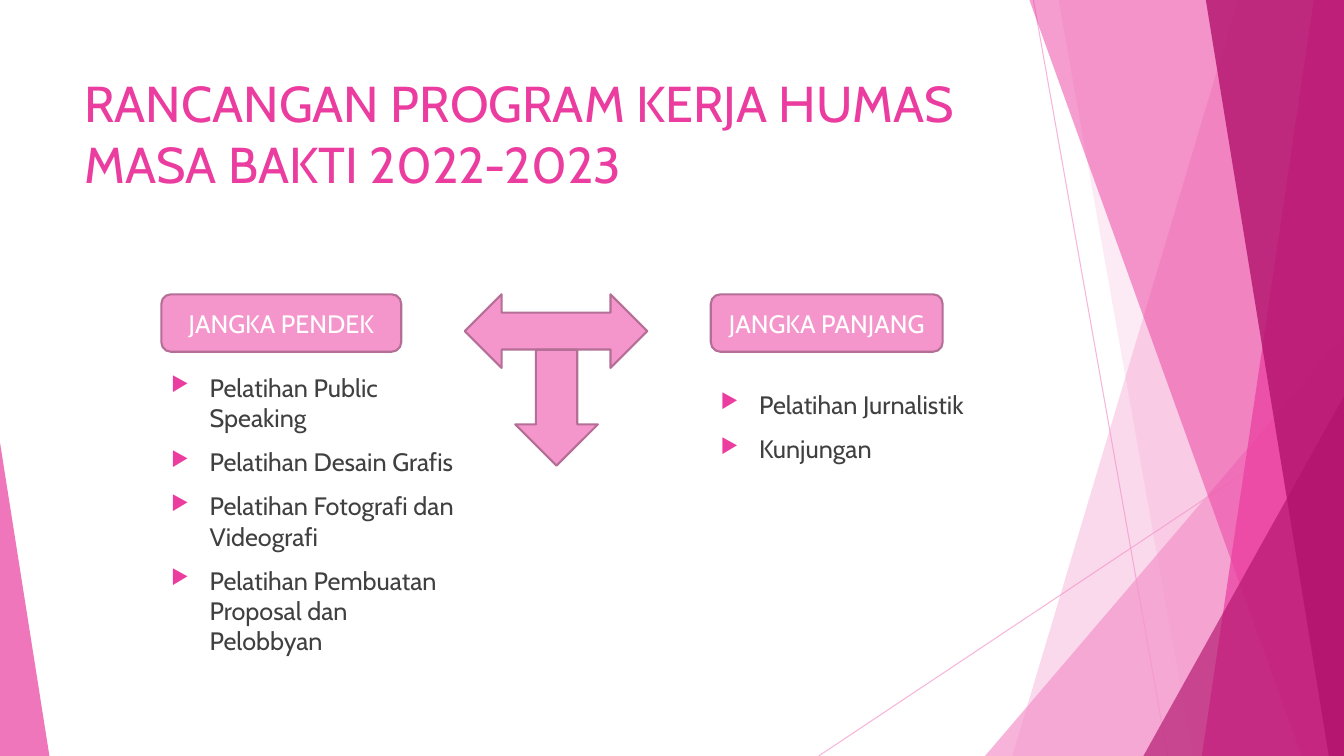
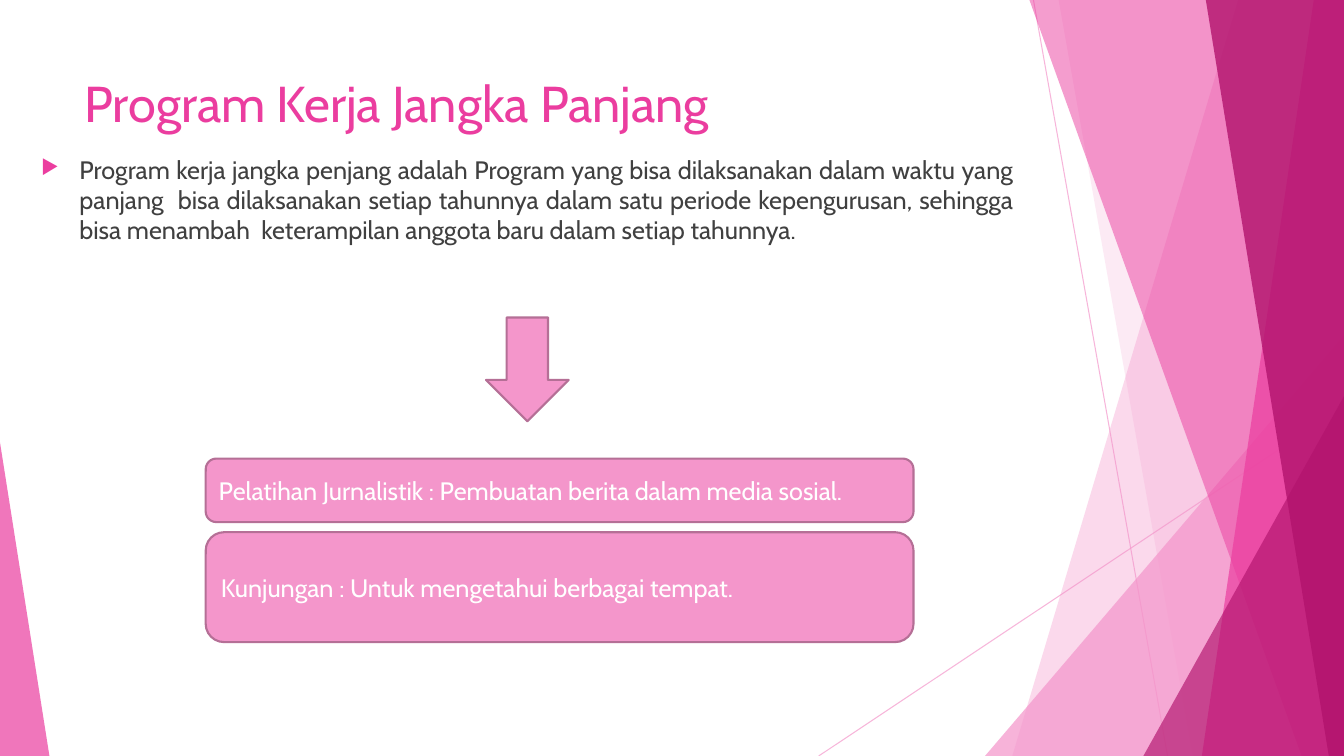
from lxml import etree
from pptx import Presentation
from pptx import util as u
from pptx.dml.color import RGBColor
from pptx.enum import shapes, text
from pptx.oxml import ns

COLORS = {
    "pale": "F496CB",
    "pink": "EB3D9F",
    "deep": "B2136D",
    "outline": "B56F96",
    "body": "404040",
    "white": "FFFFFF",
}
FONT = "Cabin"
SLIDE = (0, 0, 13.33, 7.5)
FORMATS = {
    "title": {"size": u.Pt(36), "name": FONT, "color": "pink"},
    "body": {"size": u.Pt(18), "name": FONT, "color": "body"},
    "label": {"size": u.Pt(18), "name": FONT, "color": "white"},
}
BULLET = {"space_before": u.Pt(10)}
INDENT = 0.38
HEADING_HEIGHT = 0.57

LINES = [((10.25, 0), (11.58, 7.5)), ((13.33, 4.03), (8.12, 7.5))]
BACK_BANDS = [(12.28, 10.04, "pale", 36), (10.5, 11.83, "pale", 20)]
FRONT_BANDS = [
    (10.21, 12.91, "pink", 50),
    (13.03, 11.92, "pink", 70),
    (11.96, 13.18, "deep", 80),
]


def rgb(name):
    """Return the named colour."""
    return RGBColor.from_string(COLORS[name])


def inches(box):
    """Convert a sequence of numbers to lengths."""
    return [u.Inches(value) for value in box]


def add_child(parent, tag, **attributes):
    """Append a drawing element with its attributes."""
    child = etree.SubElement(parent, ns.qn(tag))
    for key, value in attributes.items():
        child.set(key, value)
    return child


def set_opacity(shape, percent):
    """Make the single colour of a shape translucent."""
    for color in shape.element.xpath(".//p:spPr//a:srgbClr"):
        add_child(color, "a:alpha", val=str(percent * 1000))


def paint(shape, fill, opacity=None, outline=None):
    """Fill and outline a shape and remove its shadow."""
    shape.shadow.inherit = False
    shape.fill.solid()
    shape.fill.fore_color.rgb = rgb(fill)
    if opacity:
        set_opacity(shape, opacity)
    if outline:
        shape.line.color.rgb = rgb(outline)
        shape.line.width = u.Pt(1.5)
    else:
        shape.line.fill.background()


def write(paragraph, words, style):
    """Write text in one of the shared formats."""
    paragraph.text = words
    for run in paragraph.runs:
        for key, value in FORMATS[style].items():
            if key == "color":
                run.font.color.rgb = rgb(value)
            else:
                setattr(run.font, key, value)


def add_band(slide, box, top_x, bottom_x, color, opacity):
    """Draw a slanted band reaching the right edge of the box."""
    left, top, width, height = box
    right, bottom = left + width, top + height
    points = [(right, top), (right, bottom), (left + bottom_x, bottom)]
    builder = slide.shapes.build_freeform(*inches((left + top_x, top)))
    builder.add_line_segments([inches(point) for point in points], close=True)
    paint(builder.convert_to_shape(), color, opacity)


def add_triangle(slide, box, apex, color, opacity):
    """Draw a triangle with its apex at a fraction of the width."""
    triangle = slide.shapes.add_shape(
        shapes.MSO_SHAPE.ISOSCELES_TRIANGLE, *inches(box))
    triangle.adjustments[0] = apex
    paint(triangle, color, opacity)


def add_corner(slide, box, width, height, color, opacity):
    """Draw a triangle in the lower right corner of the box."""
    left = box[0] + box[2] - width
    top = box[1] + box[3] - height
    add_triangle(slide, (left, top, width, height), 1, color, opacity)


def add_thin_line(slide, box, start, end):
    """Draw a fine translucent line between two points of the box."""
    ends = [box[i] + point[i] for point in (start, end) for i in (0, 1)]
    line = slide.shapes.add_connector(
        shapes.MSO_CONNECTOR.STRAIGHT, *inches(ends))
    line.line.color.rgb = rgb("pale")
    line.line.width = u.Pt(0.75)
    set_opacity(line, 70)
    add_child(line.element.spPr, "a:effectLst")


def add_backdrop(slide, box):
    """Draw the lines, bands and triangles shared by all slides."""
    for start, end in LINES:
        add_thin_line(slide, box, start, end)
    for band in BACK_BANDS:
        add_band(slide, box, *band)
    add_corner(slide, box, 3.56, 4.17, "pale", 72)
    for band in FRONT_BANDS:
        add_band(slide, box, *band)
    add_corner(slide, box, 1.99, 3.57, "deep", 66)
    left, top, _, height = box
    wedge = (left, top + height - 3.11, 0.49, 3.11)
    add_triangle(slide, wedge, 0, "pink", 70)


def add_text(slide, box):
    """Add a wrapping text box and return its frame."""
    frame = slide.shapes.add_textbox(*inches(box)).text_frame
    frame.word_wrap = True
    return frame


def add_bullets(slide, box, items, align=text.PP_ALIGN.LEFT):
    """Write a list with pink triangular bullets."""
    frame = add_text(slide, box)
    for index, item in enumerate(items):
        paragraph = frame.add_paragraph() if index else frame.paragraphs[0]
        write(paragraph, item, "body")
        for key, value in {**BULLET, "alignment": align}.items():
            setattr(paragraph, key, value)
        properties = paragraph._p.get_or_add_pPr()
        properties.set("marL", str(u.Inches(INDENT)))
        properties.set("indent", str(-u.Inches(INDENT)))
        color = add_child(properties, "a:buClr")
        add_child(color, "a:srgbClr", val=COLORS["pink"])
        add_child(properties, "a:buSzPct", val="80000")
        add_child(properties, "a:buChar", char="▶")


def add_label(slide, box, words, align=text.PP_ALIGN.LEFT):
    """Draw a rounded pink box with white text."""
    label = slide.shapes.add_shape(
        shapes.MSO_SHAPE.ROUNDED_RECTANGLE, *inches(box))
    paint(label, "pale", outline="outline")
    label.text_frame.word_wrap = True
    label.text_frame.vertical_anchor = text.MSO_ANCHOR.MIDDLE
    paragraph = label.text_frame.paragraphs[0]
    write(paragraph, words, "label")
    paragraph.alignment = align


def add_arrow(slide, box, kind):
    """Draw a pink block arrow."""
    paint(slide.shapes.add_shape(kind, *inches(box)), "pale", outline="outline")


def add_column(slide, box, heading_width, list_offset, heading, items):
    """Place a heading over its list of programmes."""
    left, top, width, height = box
    add_label(slide, (left, top, heading_width, HEADING_HEIGHT), heading,
              text.PP_ALIGN.CENTER)
    list_box = (left, top + list_offset, width, height - list_offset)
    add_bullets(slide, list_box, items)


def add_branches(slide, box):
    """Draw a two-way arrow with a down arrow under it."""
    left, top, width, _ = box
    add_arrow(slide, (left, top, width, 0.73),
              shapes.MSO_SHAPE.LEFT_RIGHT_ARROW)
    add_arrow(slide, (left + 0.5, top + 0.55, 0.82, 1.15),
              shapes.MSO_SHAPE.DOWN_ARROW)


def add_activities(slide, box, activities):
    """Stack labelled boxes of given heights with equal gaps."""
    left, top, width, _ = box
    for words, height in activities:
        add_label(slide, (left, top, width, height), words)
        top += height + 0.1


def start_slide(presentation, title, title_height):
    """Add a blank slide with the backdrop and its title."""
    slide = presentation.slides.add_slide(presentation.slide_layouts[6])
    add_backdrop(slide, SLIDE)
    frame = add_text(slide, (0.74, 0.67, 9.4, title_height))
    write(frame.paragraphs[0], title, "title")
    return slide


def build_plan(presentation):
    """Build the slide comparing short and long term programmes."""
    slide = start_slide(
        presentation,
        "RANCANGAN PROGRAM KERJA HUMAS \nMASA BAKTI 2022-2023", 1.44)
    add_column(slide, (1.6, 2.92, 3.01, 4.44), 2.38, 0.72, "JANGKA PENDEK", [
        "Pelatihan Public Speaking",
        "Pelatihan Desain Grafis",
        "Pelatihan Fotografi dan Videografi",
        "Pelatihan Pembuatan Proposal dan Pelobbyan",
    ])
    add_branches(slide, (4.61, 2.92, 1.81, 1.7))
    add_column(slide, (7.05, 2.92, 3.26, 4.02), 2.3, 0.89, "JANGKA PANJANG",
               ["Pelatihan Jurnalistik", "Kunjungan"])


def build_long_term(presentation):
    """Build the slide explaining the long term programme."""
    slide = start_slide(presentation, "Program Kerja Jangka Panjang", 0.82)
    add_bullets(slide, (0.31, 1.48, 9.84, 5.12), [
        "Program kerja jangka penjang adalah Program yang bisa dilaksanakan "
        "dalam waktu yang panjang  bisa dilaksanakan setiap tahunnya dalam "
        "satu periode kepengurusan, sehingga bisa menambah  keterampilan "
        "anggota baru dalam setiap tahunnya.",
    ], text.PP_ALIGN.JUSTIFY)
    add_arrow(slide, (4.82, 3.15, 0.82, 1.03), shapes.MSO_SHAPE.DOWN_ARROW)
    add_activities(slide, (2.04, 4.55, 7.02, 1.82), [
        ("Pelatihan Jurnalistik : Pembuatan berita dalam media sosial.", 0.63),
        ("Kunjungan : Untuk mengetahui berbagai tempat.", 1.09),
    ])


def main():
    """Build and save the presentation."""
    presentation = Presentation()
    presentation.slide_width, presentation.slide_height = inches(SLIDE[2:])
    build_plan(presentation)
    build_long_term(presentation)
    presentation.save("out.pptx")


if __name__ == "__main__":
    main()
